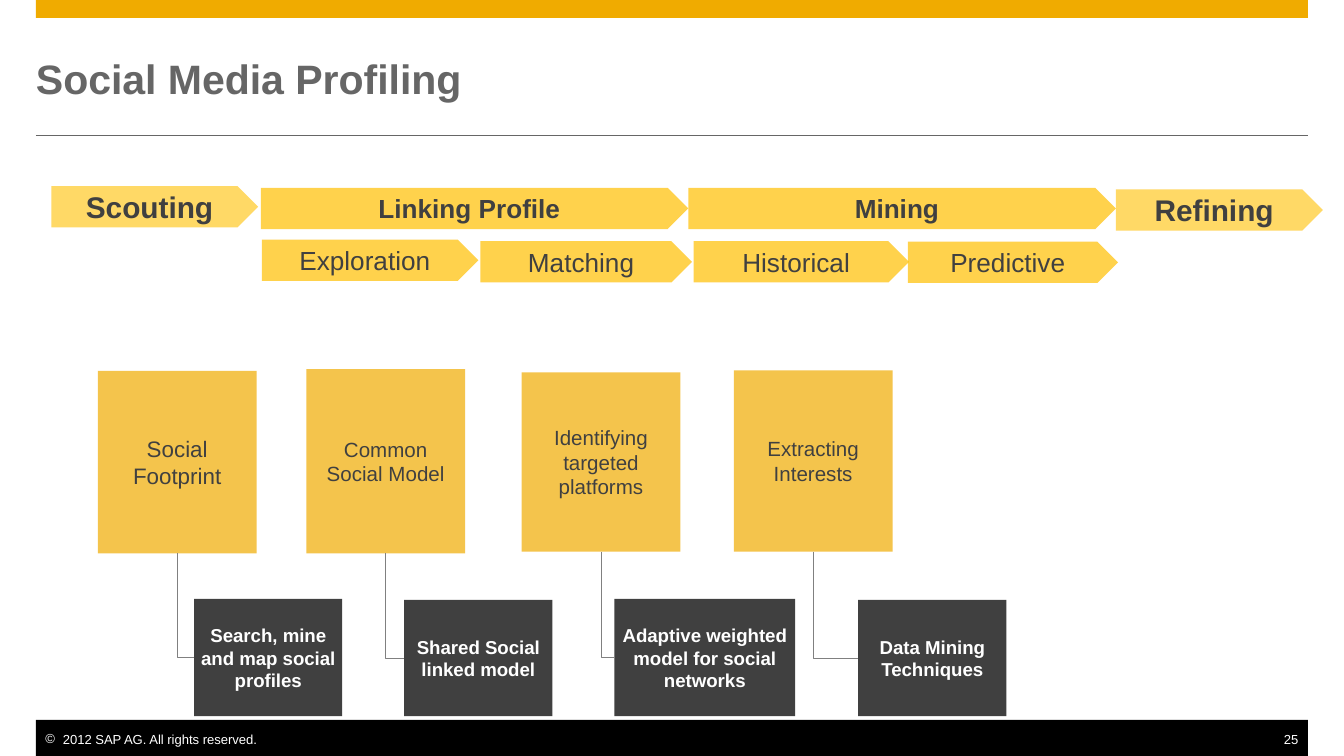
from collections import namedtuple

from lxml import etree
from pptx import Presentation
from pptx.dml.color import RGBColor
from pptx.enum.shapes import MSO_CONNECTOR, MSO_SHAPE
from pptx.enum.text import MSO_ANCHOR, MSO_AUTO_SIZE, PP_ALIGN
from pptx.oxml.ns import qn
from pptx.util import Cm, Pt

Box = namedtuple("Box", "x y w h")

STEPS = [
    ("Scouting", 0, 0, 3.91, 16, True, 60),
    ("Linking Profile", 3.96, 0.03, 8.08, 14, True, 70),
    ("Mining", 12.04, 0.03, 8.08, 14, True, 70),
    ("Refining", 20.12, 0.06, 3.91, 16, True, 60),
    ("Exploration", 3.98, 1.01, 4.09, 14, False, 70),
    ("Matching", 8.11, 1.04, 4, 14, False, 70),
    ("Historical", 12.14, 1.04, 4.07, 14, False, 70),
    ("Predictive", 16.19, 1.05, 3.97, 14, False, 70),
]

TOPICS = [
    ("Social Footprint", 12, Box(1.85, 7.01, 3, 3.45),
     "Search, mine and map social profiles", Box(1.82, 4.31, 2.8, 2.22)),
    ("Common Social Model", 11, Box(5.79, 6.98, 3, 3.48),
     "Shared Social linked model", Box(1.85, 4.36, 2.8, 2.2)),
    ("Identifying targeted platforms", 11, Box(9.86, 7.04, 3, 3.39),
     "Adaptive weighted model for social networks", Box(1.75, 4.28, 3.42, 2.22)),
    ("Extracting Interests", 11, Box(13.87, 7, 3, 3.43),
     "Data Mining Techniques", Box(2.35, 4.34, 2.8, 2.2)),
]


def color(value):
    """Return the colour of a hex string."""
    return RGBColor.from_string(value)


def lengths(box):
    """Return the four sides of a box as lengths."""
    return [Cm(v) for v in box]


def write(sp, text, size=12, fill="404040", bold=False, align=PP_ALIGN.CENTER,
          anchor=MSO_ANCHOR.MIDDLE, margins=(0, 0, 0, 0), wrap=True):
    """Write one formatted paragraph into a shape and return it."""
    tf = sp.text_frame
    tf.auto_size = MSO_AUTO_SIZE.NONE
    tf.word_wrap = wrap
    tf.vertical_anchor = anchor
    tf.margin_left, tf.margin_top, tf.margin_right, tf.margin_bottom = lengths(margins)
    p = tf.paragraphs[0]
    p.alignment = align
    r = p.add_run()
    r.text = text
    r.font.name, r.font.size, r.font.bold = "Arial", Pt(size), bold
    r.font.color.rgb = color(fill)
    return p


def add_block(s, kind, box, fill, opacity=100):
    """Add a borderless filled shape."""
    sp = s.shapes.add_shape(kind, *lengths(box))
    sp.shadow.inherit = False
    sp.fill.solid()
    sp.fill.fore_color.rgb = color(fill)
    sp.line.fill.background()
    if opacity < 100:
        clr = sp.fill._xPr.find(qn("a:solidFill"))[0]
        etree.SubElement(clr, qn("a:alpha"), val=str(opacity * 1000))
    return sp


def style_line(line, fill):
    """Give a connector a thin line without a shadow."""
    line.line.color.rgb = color(fill)
    line.line.width = Pt(0.5)
    etree.SubElement(line._element.spPr, qn("a:effectLst"))


def add_elbow(s, start, end):
    """Join the bottom of one shape to the left of another, down then right."""
    line = s.shapes.add_connector(MSO_CONNECTOR.ELBOW, 0, 0, 0, 0)
    line.begin_connect(start, 2)
    line.end_connect(end, 1)
    x, y, dx, dy = line.left, line.top, line.width, line.height
    line.left, line.top = x + (dx - dy) // 2, y + (dy - dx) // 2
    line.width, line.height = dy, dx
    spPr = line._element.spPr
    spPr.xfrm.set("rot", "16200000")
    spPr.xfrm.set("flipH", "1")
    spPr.find(qn("a:prstGeom")).set("prst", "bentConnector2")
    style_line(line, "808080")


def add_header(s, box, title):
    """Place the top bar, the title and the rule below it."""
    add_block(s, MSO_SHAPE.RECTANGLE, Box(box.x, box.y, box.w, 0.34), "F0AB00")
    sp = s.shapes.title
    sp.left, sp.top, sp.width, sp.height = lengths((box.x, box.y + 0.69, box.w, 1.57))
    write(sp, title, size=22, fill="666666", bold=True, align=PP_ALIGN.LEFT)
    bottom = box.y + box.h
    rule = s.shapes.add_connector(
        MSO_CONNECTOR.STRAIGHT, *lengths((box.x, bottom, box.x + box.w, bottom)))
    style_line(rule, "666666")


def add_footer(s, box, notice, number):
    """Place the bottom bar with the copyright line and the page number."""
    add_block(s, MSO_SHAPE.RECTANGLE, box, "000000")
    top = box.y + 0.21
    sp = s.shapes.add_textbox(*lengths((box.x, top, 4.27, 0.3)))
    p = write(sp, notice, size=7, fill="FFFFFF", align=PP_ALIGN.LEFT,
              anchor=MSO_ANCHOR.TOP, margins=(0.18, 0, 0, 0), wrap=False)
    pPr = p._p.get_or_add_pPr()
    pPr.set("marL", str(Cm(0.33)))
    pPr.set("indent", str(Cm(-0.33)))
    clr = etree.SubElement(pPr, qn("a:buClr"))
    etree.SubElement(clr, qn("a:srgbClr"), val="FFFFFF")
    etree.SubElement(pPr, qn("a:buFont"), typeface="Arial")
    etree.SubElement(pPr, qn("a:buChar"), char="©")
    sp = s.shapes.add_textbox(*lengths((box.x + box.w - 0.5, top, 0.5, 0.3)))
    write(sp, number, size=7, fill="FFFFFF", align=PP_ALIGN.RIGHT,
          anchor=MSO_ANCHOR.TOP, margins=(0, 0, 0.18, 0), wrap=False)


def add_process(s, box, steps):
    """Place the process arrows inside the box."""
    for text, x, y, w, size, bold, opacity in steps:
        sp = add_block(s, MSO_SHAPE.PENTAGON, Box(box.x + x, box.y + y, w, 0.78),
                       "FFC000", opacity)
        write(sp, text, size=size, bold=bold, margins=(0.25, 0.2, 0.25, 0.2))


def add_topic(s, box, topic, size, detail, offset):
    """Place a topic card and the detail card that hangs from it."""
    card = add_block(s, MSO_SHAPE.RECTANGLE, box, "F0AB00", 70)
    write(card, topic, size=size, margins=(0.25, 0.2, 0.25, 0.2))
    place = Box(box.x + offset.x, box.y + offset.y, offset.w, offset.h)
    note = add_block(s, MSO_SHAPE.RECTANGLE, place, "404040")
    write(note, detail, size=10, fill="FFFFFF", bold=True)
    add_elbow(s, card, note)


def main():
    """Build the slide and save it."""
    prs = Presentation()
    prs.slide_width, prs.slide_height = Cm(25.4), Cm(14.29)
    s = prs.slides.add_slide(prs.slide_layouts[5])
    add_header(s, Box(0.68, 0, 24.04, 2.56), "Social Media Profiling")
    add_footer(s, Box(0.68, 13.61, 24.04, 0.68),
               "2012 SAP AG. All rights reserved.", "25")
    add_process(s, Box(0.97, 3.52, 24.03, 1.83), STEPS)
    for topic, size, box, detail, offset in TOPICS:
        add_topic(s, box, topic, size, detail, offset)
    prs.save("out.pptx")


if __name__ == "__main__":
    main()
